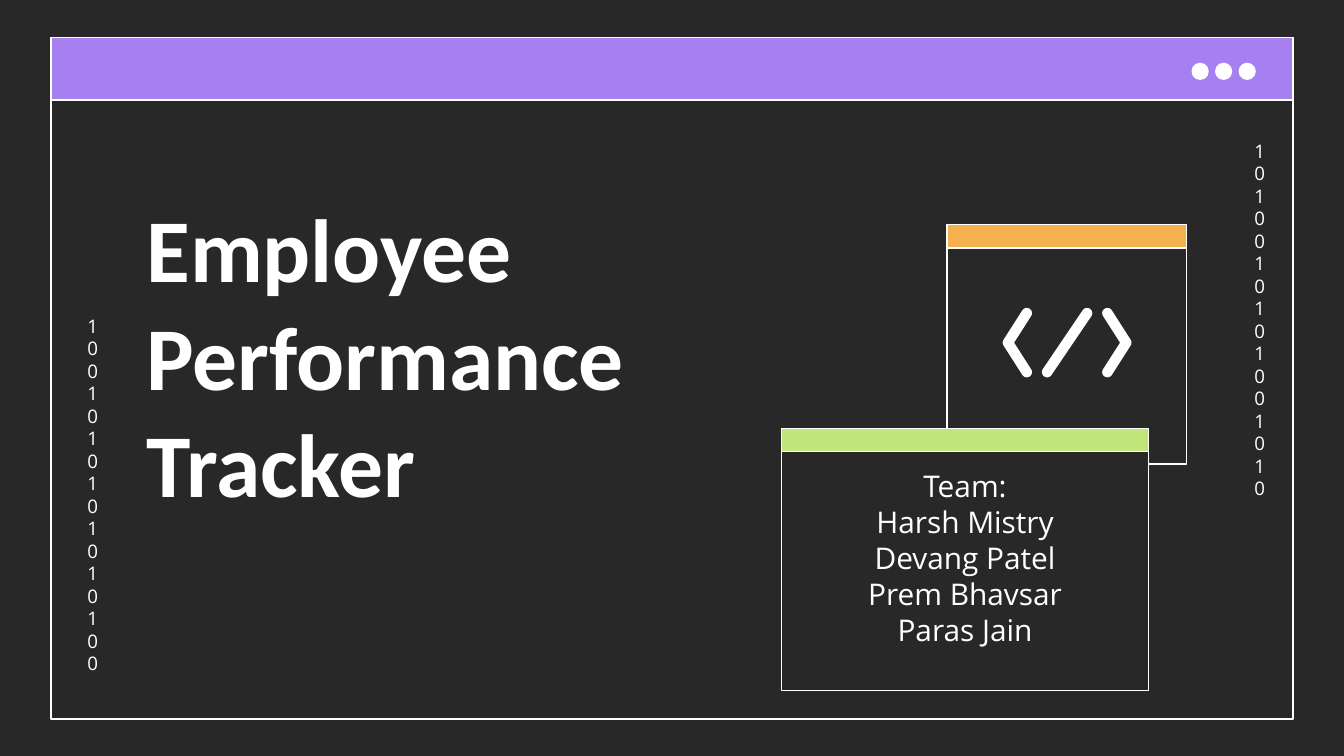
from math import atan2, cos, pi, sin

from pptx import Presentation
from pptx.dml.color import RGBColor
from pptx.enum.shapes import MSO_SHAPE
from pptx.enum.text import MSO_ANCHOR, MSO_AUTO_SIZE, PP_ALIGN
from pptx.util import Pt

RECT, OVAL = MSO_SHAPE.RECTANGLE, MSO_SHAPE.OVAL
LEFT, CENTER = PP_ALIGN.LEFT, PP_ALIGN.CENTER
TOP, MIDDLE, BOTTOM = MSO_ANCHOR.TOP, MSO_ANCHOR.MIDDLE, MSO_ANCHOR.BOTTOM
NO_AUTOFIT = MSO_AUTO_SIZE.NONE

DARK, WHITE = "292828", "FFFFFF"
PURPLE, ORANGE, GREEN = "A67FF1", "F5B150", "C0E67A"
INSET = 7.2
LINE_RATIO = 1.205  # line pitch relative to text size


def color(hex_value):
    return RGBColor.from_string(hex_value)


def paint(shape, fill=None):
    """Optional fill and a thin white outline."""
    if fill:
        shape.fill.solid()
        shape.fill.fore_color.rgb = color(fill)
    else:
        shape.fill.background()
    shape.line.color.rgb = color(WHITE)
    shape.line.width = Pt(0.75)


def add_outlined(slide, preset, left, top, width, height, fill=None):
    shape = slide.shapes.add_shape(preset, Pt(left), Pt(top), Pt(width), Pt(height))
    shape.shadow.inherit = False
    paint(shape, fill)


def add_window(slide, left, top, width, height, bar_height, bar_fill):
    add_outlined(slide, RECT, left, top, width, height)
    add_outlined(slide, RECT, left, top, width, bar_height, bar_fill)


def place(shape, left, top, width, height):
    shape.left, shape.top = Pt(left), Pt(top)
    shape.width, shape.height = Pt(width), Pt(height)


def write(shape, lines, size, font, align, anchor, bold=False, bottom=INSET):
    frame = shape.text_frame
    frame.word_wrap = True
    frame.auto_size = NO_AUTOFIT
    frame.vertical_anchor = anchor
    frame.margin_left = frame.margin_right = frame.margin_top = Pt(INSET)
    frame.margin_bottom = Pt(bottom)
    for index, line in enumerate(lines):
        paragraph = frame.add_paragraph() if index else frame.paragraphs[0]
        paragraph.alignment = align
        paragraph.line_spacing = Pt(round(size * LINE_RATIO, 2))
        paragraph.space_before = paragraph.space_after = Pt(0)
        run = paragraph.add_run()
        run.text = line
        run.font.size = Pt(size)
        run.font.name = font
        run.font.bold = bold
        run.font.color.rgb = color(WHITE)


def add_digit_column(slide, left, top, digits):
    """A box so narrow that every digit wraps onto its own line."""
    column = slide.shapes.add_textbox(Pt(left), Pt(top), Pt(17.3), Pt(201.6))
    write(column, [digits], 10, "Open Sans", CENTER, TOP)


def arc(x, y, radius, start, end, steps=10):
    angles = [start + (end - start) * i / steps for i in range(steps + 1)]
    return [(x + radius * cos(a), y + radius * sin(a)) for a in angles]


def chevron(x, y, width, height, radius, side):
    """Round-ended angle with its tip at x, y; side is 1 for right, -1 for left."""
    slope = atan2(height, width)
    points = (
        arc(-width, -height, radius, slope + pi / 2, slope + 3 * pi / 2)
        + arc(0, 0, radius, slope - pi / 2, pi / 2 - slope)
        + arc(-width, height, radius, pi / 2 - slope, 3 * pi / 2 - slope)
        + [(-radius / sin(slope), 0)]
    )
    return [(x + side * dx, y + dy) for dx, dy in points]


def slash(x, y, width, height, radius):
    """Round-ended bar rising to the right, centred on x, y."""
    slope = atan2(-height, width)
    return (arc(x + width, y - height, radius, slope - pi / 2, slope + pi / 2)
            + arc(x - width, y + height, radius, slope + pi / 2, slope + 3 * pi / 2))


def add_code_icon(slide, x, y):
    half_height, radius = 15.8, 2.8
    contours = [
        slash(x, y, 10.7, half_height, radius),
        chevron(x + 31.7, y, 10.1, half_height, radius, 1),
        chevron(x - 31.7, y, 10.1, half_height, radius, -1),
    ]
    outlines = [[(Pt(px), Pt(py)) for px, py in contour] for contour in contours]
    builder = slide.shapes.build_freeform(*outlines[0][0])
    for index, outline in enumerate(outlines):
        if index:
            builder.move_to(*outline[0])
        builder.add_line_segments(outline[1:], close=True)
    icon = builder.convert_to_shape()
    icon.shadow.inherit = False
    icon.fill.solid()
    icon.fill.fore_color.rgb = color(WHITE)
    icon.line.fill.background()


def bring_to_front(shape):
    shape.element.getparent().append(shape.element)


def main():
    prs = Presentation()
    prs.slide_width, prs.slide_height = Pt(720), Pt(405)
    slide = prs.slides.add_slide(prs.slide_layouts[0])
    slide.background.fill.solid()
    slide.background.fill.fore_color.rgb = color(DARK)
    title, team = slide.placeholders[0], slide.placeholders[1]

    # Main window with its three buttons
    add_window(slide, 27.4, 20.2, 665.3, 365, 33.5, PURPLE)
    for index in range(3):
        add_outlined(slide, OVAL, 638.7 + 12.6 * index, 34, 8.5, 8.5, WHITE)

    # Binary digits at both edges
    add_digit_column(slide, 664.9, 67.7, "1010010101001010")
    add_digit_column(slide, 39.8, 161.4, "1001010101010100")

    # Code window
    add_window(slide, 507.4, 120.4, 128.2, 128.2, 12.5, ORANGE)

    # Title, raised by a deep bottom margin
    bring_to_front(title)
    place(title, 71.3, 95, 341.3, 243.4)
    write(title, ["Employee", "Performance", "Tracker"], 48, "Calibri",
          LEFT, BOTTOM, bold=True, bottom=62)

    add_code_icon(slide, 571.7, 183.6)

    # Team window, in front of the code window
    bring_to_front(team)
    place(team, 418.7, 242, 196.6, 127.8)
    paint(team, DARK)
    write(team, ["Team:", "Harsh Mistry", "Devang Patel", "Prem Bhavsar", "Paras Jain"],
          16, "Open Sans", CENTER, MIDDLE, bottom=22)
    add_outlined(slide, RECT, 418.7, 229.7, 196.6, 12.3, GREEN)

    prs.save("out.pptx")


if __name__ == "__main__":
    main()
